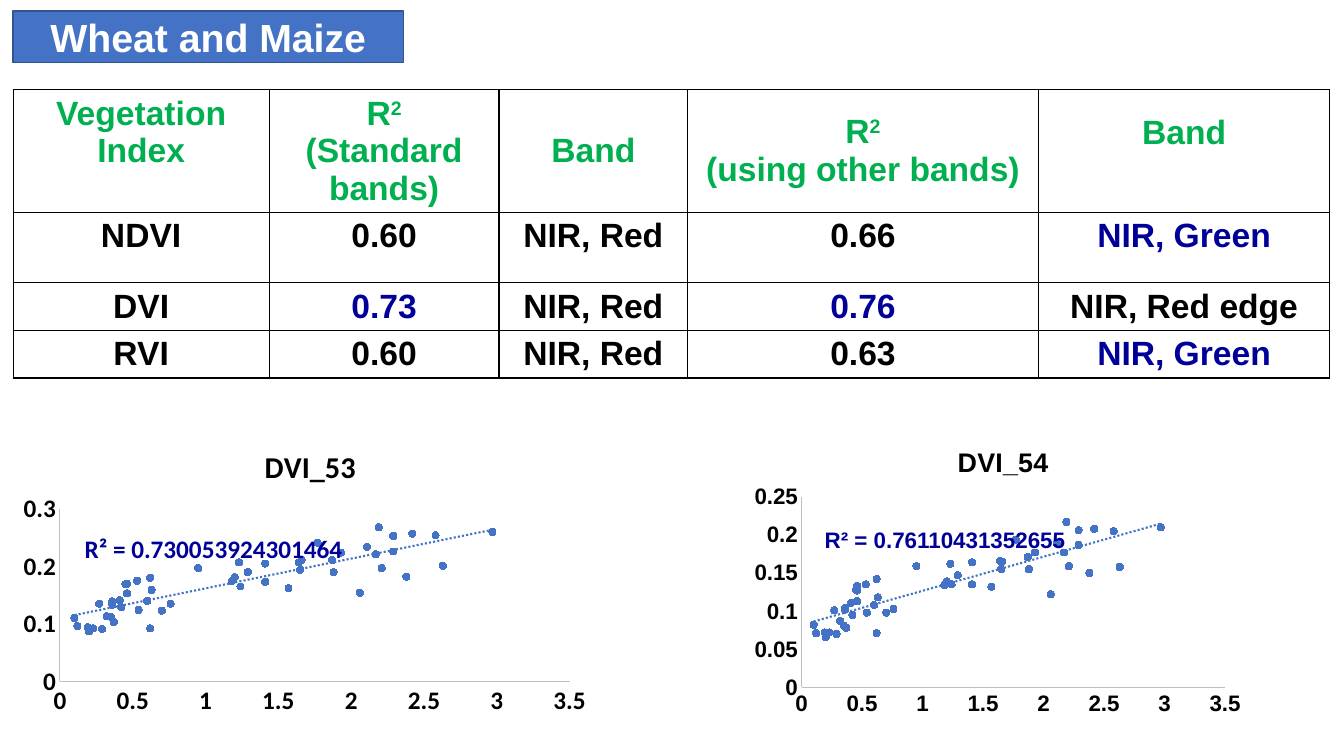
from pptx import Presentation
from pptx import util as u
from pptx.chart.data import XyChartData
from pptx.dml.color import RGBColor
from pptx.enum import chart as charts, text
from pptx.oxml import parse_xml
from pptx.oxml.ns import qn

COLORS = {"blue": "4472C4", "edge": "325491", "green": "00B050", "navy": "000099",
          "black": "000000", "white": "FFFFFF", "axis": "BFBFBF"}
RGB = {name: RGBColor.from_string(value) for name, value in COLORS.items()}
NS = ('xmlns:c="http://schemas.openxmlformats.org/drawingml/2006/chart" '
      'xmlns:a="http://schemas.openxmlformats.org/drawingml/2006/main"')
LEFT = u.Inches(0.13)


def set_font(font, size, color, name="Arial"):
    font.size, font.bold, font.name = u.Pt(size), True, name
    font.color.rgb = RGB[color]


def place(parent, index, **shares):
    """Put a manual layout, in shares of the chart, at a child index."""
    for old in parent.findall(qn("c:layout")):
        parent.remove(old)
    target = '<c:layoutTarget val="inner"/>' if "w" in shares else ""
    modes = '<c:xMode val="edge"/><c:yMode val="edge"/>'
    sizes = "".join(f'<c:{key} val="{value}"/>' for key, value in shares.items())
    parent.insert(index, parse_xml(
        f"<c:layout {NS}><c:manualLayout>{target}{modes}{sizes}</c:manualLayout></c:layout>"))


deck = Presentation()
deck.slide_width, deck.slide_height = u.Inches(13.33), u.Inches(7.5)
page = deck.slides.add_slide(deck.slide_layouts[5])

# Title bar
title = page.shapes.title
title.left, title.top, title.width, title.height = LEFT, u.Inches(0.11), u.Inches(3.87), u.Inches(0.51)
title.fill.solid()
title.fill.fore_color.rgb = RGB["blue"]
title.line.color.rgb = RGB["edge"]
title.line.width = u.Pt(1)
title.text_frame.text = "Wheat and Maize"
title.text_frame.vertical_anchor = text.MSO_ANCHOR.MIDDLE
title.text_frame.paragraphs[0].alignment = text.PP_ALIGN.CENTER
set_font(title.text_frame.paragraphs[0].runs[0].font, 28, "white")

# Table of vegetation indices
rows = [
    ["Vegetation Index", "R2\n(Standard bands)", "Band", "R2\n(using other bands)", "Band"],
    ["NDVI", "0.60", "NIR, Red", "0.66", "NIR, Green"],
    ["DVI", "0.73", "NIR, Red", "0.76", "NIR, Red edge"],
    ["RVI", "0.60", "NIR, Red", "0.63", "NIR, Green"],
]
highlights = {"0.73", "0.76", "NIR, Green"}
widths, heights = [2.54, 2.28, 1.87, 3.48, 2.89], [1.01, 0.7, 0.39, 0.39]
table = page.shapes.add_table(len(rows), len(widths), LEFT, u.Inches(0.89),
                              u.Inches(sum(widths)), u.Inches(sum(heights))).table
table.first_row = table.horz_banding = False
for column, width in zip(table.columns, widths):
    column.width = u.Inches(width)
for row, height in zip(table.rows, heights):
    row.height = u.Inches(height)

for r, row in enumerate(rows):
    for c, wording in enumerate(row):
        cell = table.cell(r, c)
        cell.fill.background()
        cell.text_frame.text = wording
        color = "green" if r == 0 else "navy" if wording in highlights else "black"
        for para in cell.text_frame.paragraphs:
            para.alignment = text.PP_ALIGN.CENTER
            if para.text == "R2":
                para.text = "R"
                power = para.add_run()
                power.text = "2"
                power.font._element.set("baseline", "30000")
            for span in para.runs:
                set_font(span.font, 24, color)
        if r == 0:
            cell.vertical_anchor = text.MSO_ANCHOR.MIDDLE
            if c in (0, 4):  # the outer headings sit one half line higher
                cell.margin_bottom = u.Inches(0.42)
        for i, side in enumerate(("lnL", "lnR", "lnT", "lnB")):
            cell._tc.get_or_add_tcPr().insert(i, parse_xml(
                f'<a:{side} {NS} w="12700"><a:solidFill><a:srgbClr val="{COLORS["black"]}"/>'
                f'</a:solidFill></a:{side}>'))

# Scatter data: both charts share the x values
x_values = [
    2.97, 2.29, 1.88, 2.58, 2.42, 2.21, 2.38, 2.19, 2.29, 2.63, 2.17, 2.11, 1.77, 1.93,
    1.66, 1.65, 1.2, 1.18, 1.29, 1.57, 2.06, 1.64, 1.41, 1.41, 1.23, 1.87, 1.24, 0.36,
    0.41, 0.46, 0.76, 0.6, 0.62, 0.54, 0.7, 0.95, 0.32, 0.27, 0.53, 0.46, 0.45, 0.63,
    0.42, 0.46, 0.36, 0.1, 0.12, 0.19, 0.23, 0.2, 0.29, 0.37, 0.35, 0.62]
dvi_53 = [
    0.26, 0.253, 0.19, 0.254, 0.257, 0.197, 0.182, 0.268, 0.226, 0.201, 0.221, 0.234,
    0.241, 0.224, 0.211, 0.194, 0.181, 0.174, 0.19, 0.162, 0.154, 0.207, 0.205, 0.173,
    0.207, 0.211, 0.165, 0.133, 0.141, 0.17, 0.135, 0.14, 0.18, 0.124, 0.123, 0.197,
    0.113, 0.135, 0.175, 0.169, 0.169, 0.159, 0.129, 0.153, 0.139, 0.11, 0.096, 0.094,
    0.092, 0.087, 0.091, 0.103, 0.112, 0.092]
dvi_54 = [
    0.21, 0.206, 0.155, 0.205, 0.208, 0.159, 0.15, 0.217, 0.187, 0.158, 0.177, 0.189,
    0.194, 0.177, 0.165, 0.155, 0.139, 0.134, 0.147, 0.132, 0.122, 0.166, 0.164, 0.135,
    0.162, 0.171, 0.135, 0.104, 0.111, 0.133, 0.103, 0.108, 0.142, 0.098, 0.098, 0.159,
    0.087, 0.101, 0.135, 0.127, 0.128, 0.118, 0.095, 0.113, 0.102, 0.082, 0.071, 0.072,
    0.072, 0.066, 0.07, 0.078, 0.081, 0.071]
plots = [
    dict(name="DVI_53", y=dvi_53, left=0.13, width=5.81, font="Calibri", size=18, top=0.3, step=0.1,
         heading=dict(x=0.42, y=0.07), area=dict(x=0.08, y=0.3, w=0.87, h=0.57),
         fit="R² = 0.730053924301464", fit_at=(0.84, 5.27)),
    dict(name="DVI_54", y=dvi_54, left=7.4, width=5, font="Arial", size=16, top=0.25, step=0.05,
         heading=dict(x=0.41, y=0.07), area=dict(x=0.11, y=0.26, w=0.84, h=0.63),
         fit="R² = 0.76110431352655", fit_at=(8.18, 5.18)),
]

# Scatter charts with trend lines
for plot in plots:
    data = XyChartData()
    points = data.add_series(plot["name"])
    for x, y in zip(x_values, plot["y"]):
        points.add_data_point(x, y)
    chart = page.shapes.add_chart(charts.XL_CHART_TYPE.XY_SCATTER, u.Inches(plot["left"]), u.Inches(4.15),
                                  u.Inches(plot["width"]), u.Inches(3), data).chart
    chart.has_legend = False
    set_font(chart.font, plot["size"], "black", plot["font"])
    chart.has_title = True
    chart.chart_title.text_frame.text = plot["name"]
    set_font(chart.chart_title.text_frame.paragraphs[0].runs[0].font,
             plot["size"] * 1.2, "black", plot["font"])
    place(chart.chart_title._element, 1, **plot["heading"])
    place(chart._chartSpace.find(".//" + qn("c:plotArea")), 0, **plot["area"])

    for axis, top, step in ((chart.category_axis, 3.5, 0.5), (chart.value_axis, plot["top"], plot["step"])):
        axis.minimum_scale, axis.maximum_scale, axis.major_unit = 0, top, step
        axis.has_major_gridlines = False
        axis.major_tick_mark = axis.minor_tick_mark = charts.XL_TICK_MARK.NONE
        axis.tick_labels.number_format = "General"
        axis.tick_labels.number_format_is_linked = False
        axis.format.line.color.rgb = RGB["axis"]
        axis.format.line.width = u.Pt(0.75)
        set_font(axis.tick_labels.font, plot["size"], "black", plot["font"])

    chart.plots[0].vary_by_categories = False
    series = chart.plots[0].series[0]
    series.smooth = False
    series.format.line.fill.background()
    series.marker.style, series.marker.size = charts.XL_MARKER_STYLE.CIRCLE, 5
    series.marker.format.fill.solid()
    series.marker.format.fill.fore_color.rgb = RGB["blue"]
    series.marker.format.line.color.rgb = RGB["blue"]
    series._element.find(qn("c:xVal")).addprevious(parse_xml(
        f'<c:trendline {NS}><c:spPr><a:ln w="19050"><a:solidFill><a:srgbClr val="{COLORS["blue"]}"/>'
        '</a:solidFill><a:prstDash val="sysDot"/></a:ln></c:spPr><c:trendlineType val="linear"/>'
        '<c:dispRSqr val="0"/><c:dispEq val="0"/></c:trendline>'))

    # Goodness of fit over the points
    fit_left, fit_top = plot["fit_at"]
    box = page.shapes.add_textbox(u.Inches(fit_left), u.Inches(fit_top), u.Inches(2.8), u.Inches(0.35))
    frame = box.text_frame
    frame.word_wrap = True
    frame.margin_left = frame.margin_right = frame.margin_top = frame.margin_bottom = 0
    frame.vertical_anchor = text.MSO_ANCHOR.MIDDLE
    frame.text = plot["fit"]
    set_font(frame.paragraphs[0].runs[0].font, plot["size"], "navy", plot["font"])

deck.save("out.pptx")
